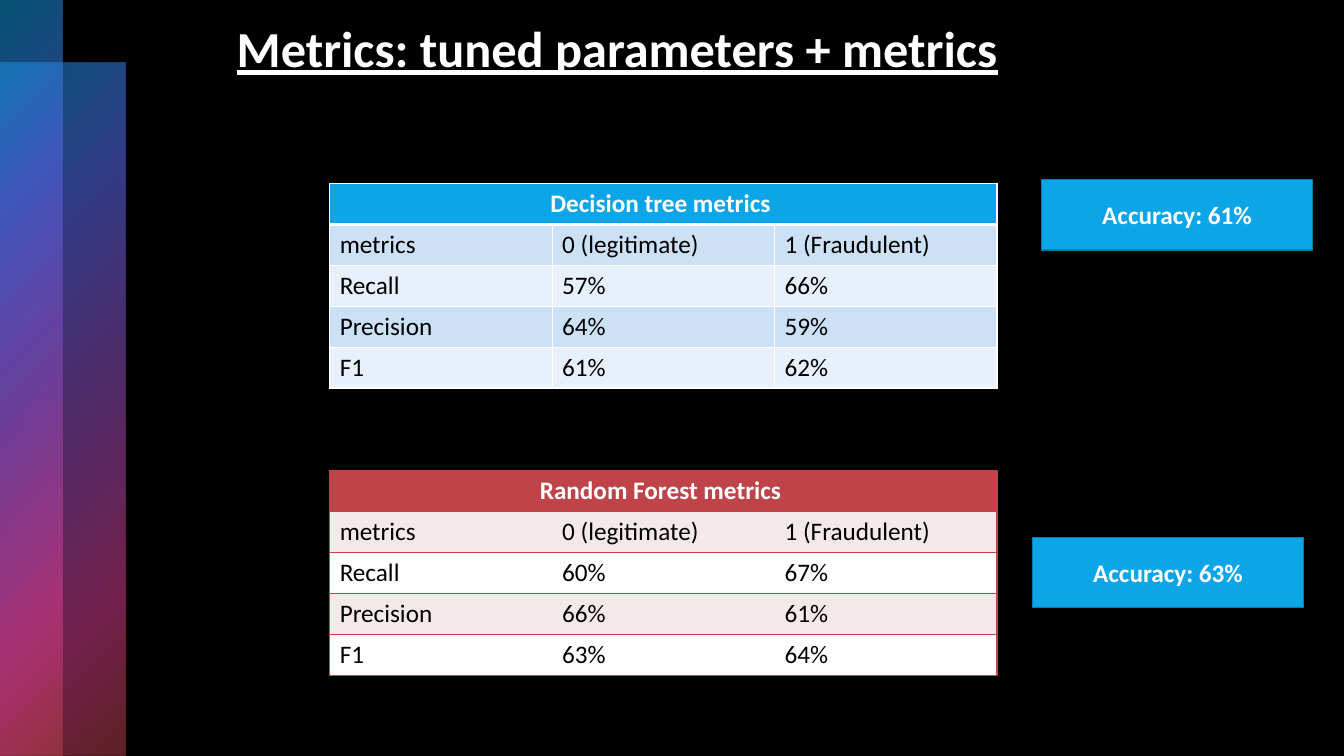
import pptx
import pptx.dml.color
import pptx.enum.shapes
import pptx.enum.text
import pptx.oxml
import pptx.oxml.ns
import pptx.util

WIDE, HIGH = 13.33, 7.5
HUES = {
    "black": "000000", "white": "FFFFFF", "blue": "0BA5E8", "edge": "087AAC",
    "sky": "CCE1F6", "ice": "E7F0FB", "red": "BE4449", "rose": "F4E9E9",
    "iris": "5066E1", "plum": "894EC0", "pink": "E54196",
}
STOPS = [(0, "blue", 50), (25, "iris", 60), (50, "plum", 55), (81, "pink", 50), (99, "red", 50)]
HEAD = {"size": pptx.util.Pt(18), "bold": True}
BODY = {"size": pptx.util.Pt(18), "bold": False}
TITLE = {"size": pptx.util.Pt(36), "bold": True, "underline": True}
MID = pptx.enum.text.PP_ALIGN.CENTER
LABELS = ["metrics", "0 (legitimate)", "1 (Fraudulent)"]
TREE = [LABELS, ["Recall", "57%", "66%"], ["Precision", "64%", "59%"], ["F1", "61%", "62%"]]
FOREST = [LABELS, ["Recall", "60%", "67%"], ["Precision", "66%", "61%"], ["F1", "63%", "64%"]]


def hue(name):
    return pptx.dml.color.RGBColor.from_string(HUES[name])


def place(left, top, width, height):
    shares = ((left, WIDE), (top, HIGH), (width, WIDE), (height, HIGH))
    return [pptx.util.Inches(share * full / 100) for share, full in shares]


def paint(item, name):
    item.fill.solid()
    item.fill.fore_color.rgb = hue(name)


def write(frame, text, look, tint, align=None):
    para = frame.paragraphs[0]
    para.alignment = align
    run = para.add_run()
    run.text = text
    for key, value in {"name": "Calibri", **look}.items():
        setattr(run.font, key, value)
    run.font.color.rgb = hue(tint)


def add_box(slide, spot):
    kind = pptx.enum.shapes.MSO_SHAPE.RECTANGLE
    box = slide.shapes.add_shape(kind, *place(*spot))
    box.shadow.inherit = False
    return box


def add_strip(slide, spot):
    strip = add_box(slide, spot)
    strip.line.fill.background()
    strip.fill.background()
    stops = "".join(
        f'<a:gs pos="{pos * 1000}"><a:srgbClr val="{HUES[name]}">'
        f'<a:alpha val="{alpha * 1000}"/></a:srgbClr></a:gs>'
        for pos, name, alpha in STOPS)
    blend = pptx.oxml.parse_xml(
        f'<a:gradFill {pptx.oxml.ns.nsdecls("a")} rotWithShape="1"><a:gsLst>{stops}</a:gsLst>'
        '<a:path path="circle"><a:fillToRect r="100000" b="100000"/></a:path></a:gradFill>')
    props = strip._element.spPr
    props.replace(props.find(pptx.oxml.ns.qn("a:noFill")), blend)


def add_title(slide, text, spot):
    frame = slide.shapes.add_textbox(*place(*spot)).text_frame
    frame.word_wrap = True
    write(frame, text, TITLE, "white")


def add_badge(slide, text, spot):
    badge = add_box(slide, spot)
    paint(badge, "blue")
    badge.line.color.rgb = hue("edge")
    badge.line.width = pptx.util.Pt(1)
    badge.text_frame.vertical_anchor = pptx.enum.text.MSO_ANCHOR.MIDDLE
    write(badge.text_frame, text, HEAD, "white", MID)


def edge_cell(cell, tint, sides):
    props = cell._tc.get_or_add_tcPr()
    for spot, (side, width) in enumerate(sides.items()):
        ink = f'<a:solidFill><a:srgbClr val="{HUES[tint]}"/></a:solidFill>' if width else "<a:noFill/>"
        props.insert(spot, pptx.oxml.parse_xml(
            f'<a:ln{side} {pptx.oxml.ns.nsdecls("a")} w="{width * 12700}">{ink}</a:ln{side}>'))


def add_grid(slide, title, rows, top, fills, tint, inner, under):
    count, across = len(rows) + 1, len(LABELS)
    spot = place(24.53, top, 49.66, 27.07)
    grid = slide.shapes.add_table(count, across, *spot).table
    grid.first_row = grid.horz_banding = False
    for row in range(count):
        for col in range(across):
            cell = grid.cell(row, col)
            paint(cell, fills[0] if row == 0 else fills[2 - row % 2])
            edge_cell(cell, tint, {
                "L": 1 if row == 0 or col == 0 else inner,
                "R": 1 if row == 0 or col == across - 1 else inner,
                "T": under if row == 1 else 1,
                "B": under if row == 0 else 1,
            })
            if row:
                write(cell.text_frame, rows[row - 1][col], BODY, "black")
    first = grid.cell(0, 0)
    first.merge(grid.cell(0, across - 1))
    write(first.text_frame, title, HEAD, "white", MID)


def main():
    deck = pptx.Presentation()
    deck.slide_width, deck.slide_height = place(0, 0, 100, 100)[2:]
    slide = deck.slides.add_slide(deck.slide_layouts[6])
    paint(slide.background, "black")
    add_strip(slide, (0, 8.27, 9.34, 91.73))
    add_strip(slide, (0, 0, 4.67, 100))
    add_title(slide, "Metrics: tuned parameters + metrics", (16.88, 1.6, 66.24, 22.67))
    add_grid(slide, "Decision tree metrics ", TREE, 24.27, ("blue", "sky", "ice"), "white", 1, 3)
    add_badge(slide, "Accuracy: 61%", (77.49, 23.73, 20.18, 9.33))
    add_grid(slide, "Random Forest metrics ", FOREST, 62.27, ("red", "rose", "white"), "red", 0, 1)
    add_badge(slide, "Accuracy: 63%", (76.82, 71.07, 20.18, 9.33))
    deck.save("out.pptx")


if __name__ == "__main__":
    main()
